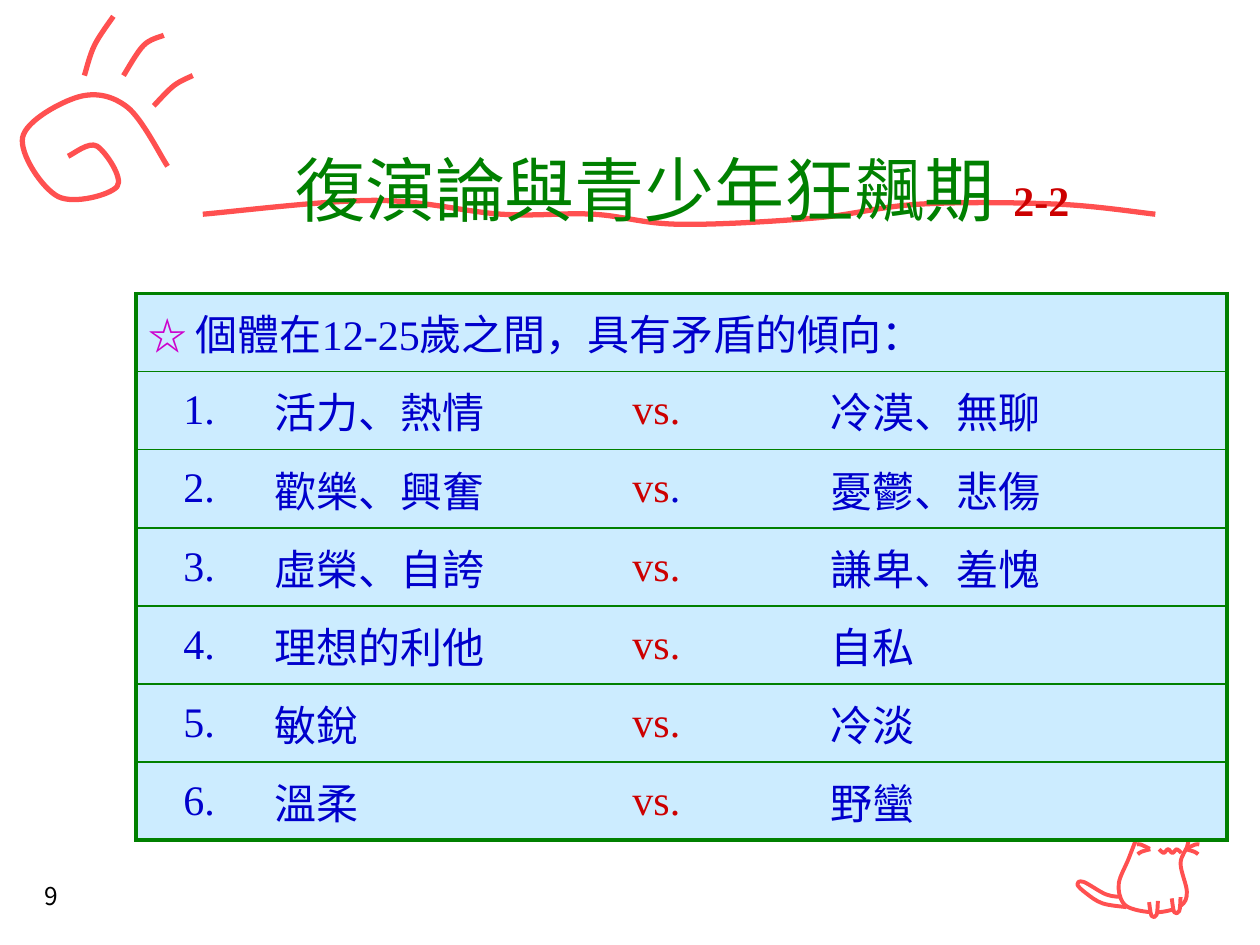
from dataclasses import dataclass

from lxml.etree import SubElement
from pptx import Presentation
from pptx.dml.color import RGBColor as RGB
from pptx.enum.text import MSO_ANCHOR as Anchor, PP_ALIGN as Align
from pptx.oxml.ns import qn
from pptx.util import Inches, Pt

COLORS = {
    "stroke": "FF5050", "white": "FFFFFF", "black": "000000", "green": "008000",
    "red": "CC0000", "blue": "0000CC", "star": "CC00CC", "cell": "CCECFF",
}
SERIF, SANS = "Times New Roman", "Noto Sans CJK JP"
Point = tuple[float, float]


@dataclass
class Stroke:
    points: list[Point]
    width: float = 2.25
    filled: bool = False
    closed: bool = False
    rotation: float = 0


@dataclass
class Run:
    text: str
    size: float = 24
    color: str = "blue"
    font: str = SERIF
    bold: bool = False


FACE_X = 9.27
TAIL = [(8.91, 7.12), (8.78, 7.1), (8.6, 7), (8.55, 7.02), (8.62, 7.09), (8.75, 7.17), (8.94, 7.2)]
BODY = [(9.41, 6.45), (9.39, 6.54), (9.43, 6.69), (9.37, 6.85), (9.42, 7.08), (9.37, 7.19),
        (9.2, 7.24), (9.01, 7.22), (8.91, 7.16), (8.88, 7.01), (8.96, 6.81), (9.05, 6.57),
        (9.08, 6.44), (9.21, 6.51)]
MOUTH = [(FACE_X + 0.035 * i, 6.74 if i % 2 == 0 else 6.77) for i in range(-2, 4)]
PAW = [(9.19, 7.15), (9.18, 7.26), (9.14, 7.27), (9.12, 7.16)]
WHISKERS = [([(9.13, 6.74), (9.06, 6.76), (9.03, 6.78)], 0),
            ([(9.13, 6.72), (9.05, 6.71), (9.02, 6.72)], 18.4)]
SPIRAL = [(0.54, 1.24), (0.77, 1.16), (0.93, 1.48), (0.46, 1.56), (0.18, 1.09), (0.62, 0.77),
          (1.01, 0.85), (1.33, 1.32)]
RAYS = [[(0.67, 0.6), (0.75, 0.36), (0.9, 0.13)],
        [(0.98, 0.6), (1.14, 0.36), (1.3, 0.28)],
        [(1.22, 0.84), (1.38, 0.68), (1.53, 0.6)]]
WAVE = [(1.61, 1.7), (2.97, 1.59), (3.98, 1.7), (4.71, 1.7), (5.39, 1.78), (6.47, 1.73),
        (7.3, 1.62), (8.39, 1.62), (9.17, 1.7)]

HEADER = [Run("☆ ", 22, "star", SANS, True), Run("個體在12-25歲之間，具有矛盾的傾向：")]
PAIRS = [("活力、熱情", "冷漠、無聊"), ("歡樂、興奮", "憂鬱、悲傷"), ("虛榮、自誇", "謙卑、羞愧"),
         ("理想的利他", "自私"), ("敏銳", "冷淡"), ("溫柔", "野蠻")]
COL_WIDTHS = [1, 2.84, 1.57, 3.25]
ROW_HEIGHT = 0.62


def rgb(name: str) -> RGB:
    return RGB.from_string(COLORS[name])


def cat_strokes() -> list[Stroke]:
    strokes = [Stroke(TAIL), Stroke(BODY, filled=True, closed=True), Stroke(MOUTH)]
    for dx, dy in [(0, 0), (0.18, -0.03)]:
        strokes.append(Stroke([(x + dx, y + dy) for x, y in PAW], filled=True))
    for points, angle in WHISKERS:
        mirrored = [(2 * FACE_X - x, y) for x, y in points]
        strokes += [Stroke(points, rotation=angle), Stroke(mirrored, rotation=-angle)]
    return strokes


def smooth(points: list[Point], closed: bool) -> list[Point]:
    if closed:
        padded = [points[-1], *points, *points[:2]]
    else:
        padded = [points[0], *points, points[-1]]
    out = [points[0]]
    for a, b, c, d in zip(padded, padded[1:], padded[2:], padded[3:]):
        out += [(b[0] + (c[0] - a[0]) / 6, b[1] + (c[1] - a[1]) / 6),
                (c[0] - (d[0] - b[0]) / 6, c[1] - (d[1] - b[1]) / 6), c]
    return out


def draw_stroke(shapes, stroke: Stroke) -> None:
    pts = [(Inches(x), Inches(y)) for x, y in smooth(stroke.points, stroke.closed)]
    fb = shapes.build_freeform(*pts[0])
    fb.add_line_segments(pts[1:], close=stroke.closed)
    sp = fb.convert_to_shape()
    path = next(sp._element.iter(qn("a:path")))
    lines = path.findall(qn("a:lnTo"))
    for i in range(0, len(lines), 3):
        curve = path.makeelement(qn("a:cubicBezTo"))
        lines[i].addprevious(curve)
        for line in lines[i:i + 3]:
            curve.append(line[0])
            path.remove(line)
    sp.shadow.inherit = False
    sp.rotation = stroke.rotation
    sp.line.color.rgb = rgb("stroke")
    sp.line.width = Pt(stroke.width)
    if stroke.filled:
        sp.fill.solid()
        sp.fill.fore_color.rgb = rgb("white")
    else:
        sp.fill.background()


def write(tf, runs: list[Run], align: Align, before: float = 0) -> None:
    p = tf.paragraphs[0]
    p.alignment = align
    p.space_before = Pt(before)
    for run in runs:
        r = p.add_run()
        r.text = run.text
        for key, value in {"size": Pt(run.size), "name": run.font, "bold": run.bold}.items():
            setattr(r.font, key, value)
        r.font.color.rgb = rgb(run.color)
        SubElement(r._r.get_or_add_rPr(), qn("a:ea"), typeface=SANS)


def style_cell(cell, borders: dict[str, float]) -> None:
    cell.fill.solid()
    cell.fill.fore_color.rgb = rgb("cell")
    tcPr = cell._tc.get_or_add_tcPr()
    for i, (side, width) in enumerate(borders.items()):
        ln = tcPr.makeelement(qn(f"a:ln{side}"), {"w": str(int(Pt(width)))})
        tcPr.insert(i, ln)
        if width:
            fill = SubElement(ln, qn("a:solidFill"))
            SubElement(fill, qn("a:srgbClr"), val=COLORS["green"])
        else:
            SubElement(ln, qn("a:noFill"))


def draw_table(shapes) -> None:
    rows = [[HEADER]]
    for n, (left, right) in enumerate(PAIRS, 1):
        versus = [Run("vs", color="red"), Run(".", color="blue" if n == 2 else "red")]
        rows.append([[Run(f"{n}.")], [Run(left)], versus, [Run(right)]])
    last_row, last_col = len(rows) - 1, len(COL_WIDTHS) - 1
    table = shapes.add_table(len(rows), len(COL_WIDTHS), Inches(1.08), Inches(2.33),
                             Inches(sum(COL_WIDTHS)), Inches(ROW_HEIGHT * len(rows))).table
    table.first_row = table.horz_banding = False
    for col, width in zip(table.columns, COL_WIDTHS):
        col.width = Inches(width)
    table.cell(0, 0).merge(table.cell(0, last_col))
    for r, row in enumerate(rows):
        table.rows[r].height = Inches(ROW_HEIGHT)
        for c in range(last_col + 1):
            style_cell(table.cell(r, c), {
                "L": 2.25 if c == 0 else 0,
                "R": 2.25 if c == last_col or r == 0 else 0,
                "T": 2.25 if r == 0 else 1,
                "B": 2.25 if r == last_row else 1,
            })
        for c, runs in enumerate(row):
            cell = table.cell(r, c)
            cell.vertical_anchor = Anchor.MIDDLE
            write(cell.text_frame, runs, Align.CENTER if r and c == 0 else Align.LEFT, 4.8)


def main() -> None:
    prs = Presentation()
    prs.slide_width, prs.slide_height = Inches(10), Inches(7.5)
    s = prs.slides.add_slide(prs.slide_layouts[5])
    cat = s.shapes.add_group_shape()
    for stroke in cat_strokes():
        draw_stroke(cat.shapes, stroke)
    for points in [SPIRAL, *RAYS, WAVE]:
        draw_stroke(s.shapes, Stroke(points, 3))

    number = s.shapes.add_textbox(Inches(0.09), Inches(6.94), Inches(0.64), Inches(0.53))
    number.text_frame.word_wrap = True
    write(number.text_frame, [Run("9", 14, "black", SANS)], Align.CENTER)

    title = s.shapes.title
    box = {"left": 1.08, "top": 0.99, "width": 8.67, "height": 1.01}
    for key, value in box.items():
        setattr(title, key, Inches(value))
    title.text_frame.vertical_anchor = Anchor.MIDDLE
    write(title.text_frame, [Run("復演論與青少年狂飆期", 40, "green"), Run("  ", color="green"),
                             Run("2-2", color="red", bold=True)], Align.CENTER)
    number._element.addnext(title._element)
    draw_table(s.shapes)
    prs.save("out.pptx")


if __name__ == "__main__":
    main()
